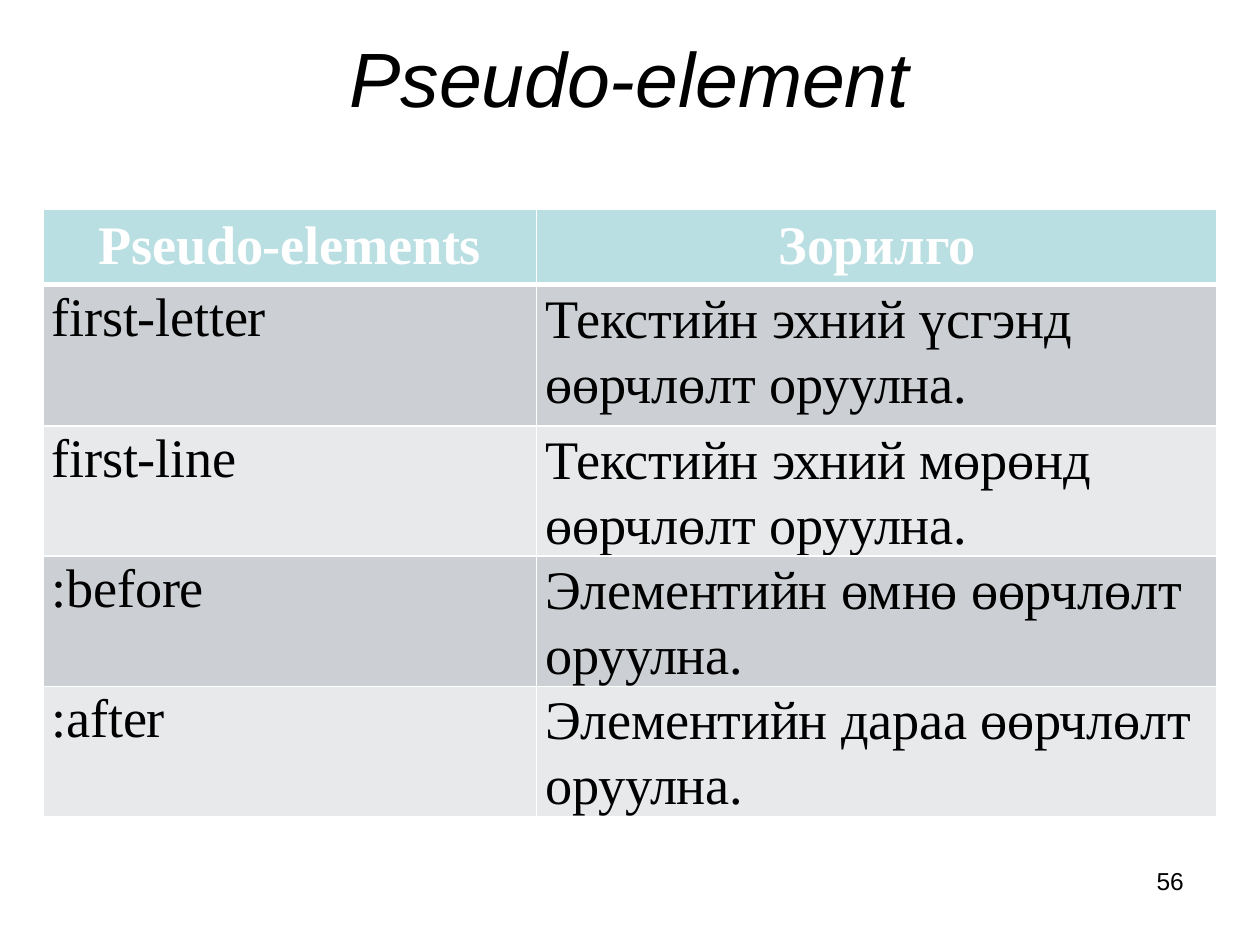
from dataclasses import dataclass
from lxml.etree import SubElement
from pptx import Presentation
from pptx.dml.color import RGBColor
from pptx.enum.text import MSO_ANCHOR as Anchor, MSO_AUTO_SIZE as Fit, PP_ALIGN as Align
from pptx.oxml.ns import qn
from pptx.util import Inches, Pt

TITLE = "Pseudo-element"
PAGE = "56"
HEAD = ("Pseudo-elements", "Зорилго")
ROWS = [
    ("first-letter", "Текстийн эхний үсгэнд өөрчлөлт оруулна."),
    ("first-line", "Текстийн эхний мөрөнд өөрчлөлт оруулна."),
    (":before", "Элементийн өмнө өөрчлөлт оруулна."),
    (":after", "Элементийн дараа өөрчлөлт оруулна."),
]
COLS = (3.92, 5.4)
HIGH = (0.6, 1.12, 1.03, 1.03, 1.03)
LEADS = (36.1, 37.2)


@dataclass(frozen=True)
class Theme:
    sans: str = "Arial"
    serif: str = "Times New Roman"
    ink: str = "000000"
    white: str = "FFFFFF"
    head: str = "BADFE2"
    bands: tuple = ("CCD0D5", "E7E9EB")
    title: int = 44
    cell: int = 31
    page: int = 14
    thin: int = 1
    thick: int = 3


T = Theme()


def write(frame, text, size, font=T.sans, color=T.ink, bold=False,
          italic=False, align=Align.LEFT, lead=None, track=-10):
    par = frame.paragraphs[0]
    par.alignment = align
    par.space_before = Pt(0)
    if lead:
        par.line_spacing = Pt(lead)
    run = par.add_run()
    run.text = text
    face = run.font
    face.name, face.size, face.bold, face.italic = font, Pt(size), bold, italic
    face.color.rgb = RGBColor.from_string(color)
    run._r.get_or_add_rPr().set("spc", str(track))


def pad(box, left=0, top=0):
    box.margin_left, box.margin_top = Inches(left), Inches(top)
    box.margin_right = box.margin_bottom = 0


def place(shape, left, top, width, height):
    shape.left, shape.top = Inches(left), Inches(top)
    shape.width, shape.height = Inches(width), Inches(height)


def edge(cell, **widths):
    props = cell._tc.get_or_add_tcPr()
    for side in "LRTB":
        line = SubElement(props, qn(f"a:ln{side}"),
                          w=str(Pt(widths.get(side, T.thin))))
        fill = SubElement(line, qn("a:solidFill"))
        SubElement(fill, qn("a:srgbClr"), val=T.white)


def paint(cell, color):
    cell.fill.solid()
    cell.fill.fore_color.rgb = RGBColor.from_string(color)
    cell.vertical_anchor = Anchor.TOP


def main():
    deck = Presentation()
    deck.slide_width, deck.slide_height = Inches(10), Inches(7.5)
    slide = deck.slides.add_slide(deck.slide_layouts[5])

    title = slide.shapes.title
    place(title, 1.11, -0.06, 7.77, 1.5)
    frame = title.text_frame
    frame.auto_size, frame.vertical_anchor = Fit.NONE, Anchor.TOP
    pad(frame, top=0.3)
    write(frame, TITLE, T.title, italic=True, align=Align.CENTER, track=-5)

    grid = slide.shapes.add_table(
        len(HIGH), len(COLS), Inches(0.34), Inches(1.66),
        Inches(sum(COLS)), Inches(sum(HIGH))).table
    for col, width in zip(grid.columns, COLS):
        col.width = Inches(width)
    for row, height in zip(grid.rows, HIGH):
        row.height = Inches(height)

    for i, line in enumerate([HEAD, *ROWS]):
        for j, text in enumerate(line):
            cell = grid.cell(i, j)
            if i == 0:
                edge(cell, B=T.thick)
                paint(cell, T.head)
                pad(cell, top=0.06)
                write(cell.text_frame, text, T.cell, T.serif, T.white,
                      bold=True, align=Align.CENTER)
            else:
                edge(cell, T=T.thick if i == 1 else T.thin)
                paint(cell, T.bands[(i - 1) % 2])
                pad(cell, left=0.07)
                write(cell.text_frame, text, T.cell, T.serif, lead=LEADS[j])

    page = slide.shapes.add_textbox(0, 0, 0, 0)
    place(page, 9.14, 6.88, 0.31, 0.25)
    page.text_frame.word_wrap = True
    pad(page.text_frame, left=0.04)
    write(page.text_frame, PAGE, T.page, lead=16.5, track=-20)

    deck.save("out.pptx")


if __name__ == "__main__":
    main()
